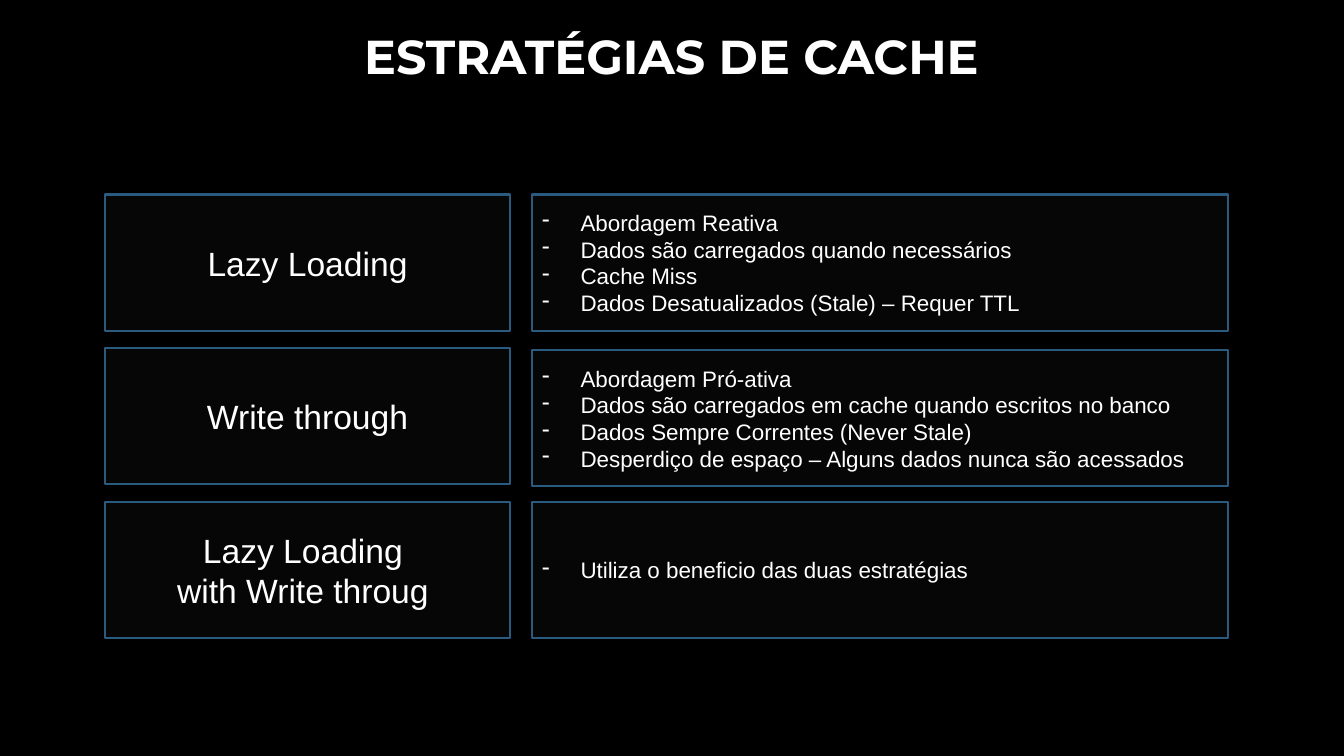
from dataclasses import dataclass

from lxml.etree import SubElement
from pptx import Presentation
from pptx.dml.color import RGBColor
from pptx.enum.shapes import MSO_SHAPE
from pptx.enum.text import MSO_ANCHOR, PP_ALIGN
from pptx.oxml.ns import qn
from pptx.shapes.autoshape import Shape
from pptx.slide import Slide
from pptx.text.text import _Paragraph as Paragraph
from pptx.util import Inches, Pt


@dataclass(frozen=True)
class Theme:
    background: RGBColor = RGBColor(0x00, 0x00, 0x00)
    panel: RGBColor = RGBColor(0x0D, 0x0D, 0x0D)
    border: RGBColor = RGBColor(0x2A, 0x5B, 0x7F)
    text: RGBColor = RGBColor(0xFF, 0xFF, 0xFF)
    panel_opacity: int = 50
    border_width: float = 1.5
    title_font: str = "Montserrat"
    body_font: str = "Arial"
    title_size: int = 34
    name_size: int = 24
    detail_size: int = 16


@dataclass(frozen=True)
class Column:
    left: float
    width: float


@dataclass(frozen=True)
class Strategy:
    name: str
    details: tuple[str, ...]
    detail_drop: float = 0


THEME = Theme()
NAME_COLUMN = Column(1.04, 4.02)
DETAIL_COLUMN = Column(5.28, 6.9)
FIRST_ROW, LAST_ROW, ROW_HEIGHT = 1.93, 4.98, 1.35
BULLET_INDENT = 0.38

STRATEGIES = (
    Strategy("Lazy Loading", (
        "Abordagem Reativa",
        "Dados são carregados quando necessários",
        "Cache Miss",
        "Dados Desatualizados (Stale) – Requer TTL",
    )),
    Strategy("Write through", (
        "Abordagem Pró-ativa",
        "Dados são carregados em cache quando escritos no banco",
        "Dados Sempre Correntes (Never Stale)",
        "Desperdiço de espaço – Alguns dados nunca são acessados",
    ), detail_drop=0.02),
    Strategy("Lazy Loading \vwith Write throug ", (
        "Utiliza o beneficio das duas estratégias",
    )),
)


def write_text(para: Paragraph, text: str, align: PP_ALIGN, **font_format) -> None:
    para.text = text
    para.alignment = align
    values = {"name": THEME.body_font, **font_format}
    for span in para.runs:
        span.font.color.rgb = THEME.text
        for key, value in values.items():
            setattr(span.font, key, value)


def add_dash(para: Paragraph) -> None:
    """Give the paragraph a hanging dash as its bullet."""
    properties = para._p.get_or_add_pPr()
    indent = Inches(BULLET_INDENT)
    properties.set("marL", str(indent))
    properties.set("indent", str(-indent))
    SubElement(properties, qn("a:buFontTx"))
    SubElement(properties, qn("a:buChar"), char="-")


def add_panel(page: Slide, column: Column, top: float) -> Shape:
    box = page.shapes.add_shape(
        MSO_SHAPE.RECTANGLE, Inches(column.left), Inches(top),
        Inches(column.width), Inches(ROW_HEIGHT))
    box.shadow.inherit = False
    box.fill.solid()
    box.fill.fore_color.rgb = THEME.panel
    color = box._element.spPr.find(qn("a:solidFill")).find(qn("a:srgbClr"))
    SubElement(color, qn("a:alpha"), val=str(THEME.panel_opacity * 1000))
    box.line.color.rgb = THEME.border
    box.line.width = Pt(THEME.border_width)
    frame_format = {"word_wrap": True, "vertical_anchor": MSO_ANCHOR.MIDDLE}
    for key, value in frame_format.items():
        setattr(box.text_frame, key, value)
    return box


def add_title(page: Slide, text: str) -> None:
    box = page.shapes.add_textbox(
        Inches(1), Inches(-0.01), Inches(11.32), Inches(1.74))
    frame_format = {
        "word_wrap": True,
        "vertical_anchor": MSO_ANCHOR.MIDDLE,
        "margin_bottom": Inches(0.6),
    }
    for key, value in frame_format.items():
        setattr(box.text_frame, key, value)
    para = box.text_frame.paragraphs[0]
    write_text(para, text, PP_ALIGN.CENTER, name=THEME.title_font,
               size=Pt(THEME.title_size), bold=True)
    para.line_spacing = 0.9


def add_strategy(page: Slide, strategy: Strategy, top: float) -> None:
    name_box = add_panel(page, NAME_COLUMN, top)
    write_text(name_box.text_frame.paragraphs[0], strategy.name,
               PP_ALIGN.CENTER, size=Pt(THEME.name_size))

    frame = add_panel(page, DETAIL_COLUMN, top + strategy.detail_drop).text_frame
    for index, detail in enumerate(strategy.details):
        para = frame.add_paragraph() if index else frame.paragraphs[0]
        write_text(para, detail, PP_ALIGN.LEFT, size=Pt(THEME.detail_size))
        add_dash(para)


def main() -> None:
    deck = Presentation()
    deck.slide_width, deck.slide_height = Inches(13.33), Inches(7.5)
    page = deck.slides.add_slide(deck.slide_layouts[6])
    page.background.fill.solid()
    page.background.fill.fore_color.rgb = THEME.background

    add_title(page, "ESTRATÉGIAS DE CACHE")
    row_pitch = (LAST_ROW - FIRST_ROW) / (len(STRATEGIES) - 1)
    for row, strategy in enumerate(STRATEGIES):
        add_strategy(page, strategy, FIRST_ROW + row * row_pitch)
    deck.save("out.pptx")


if __name__ == "__main__":
    main()
